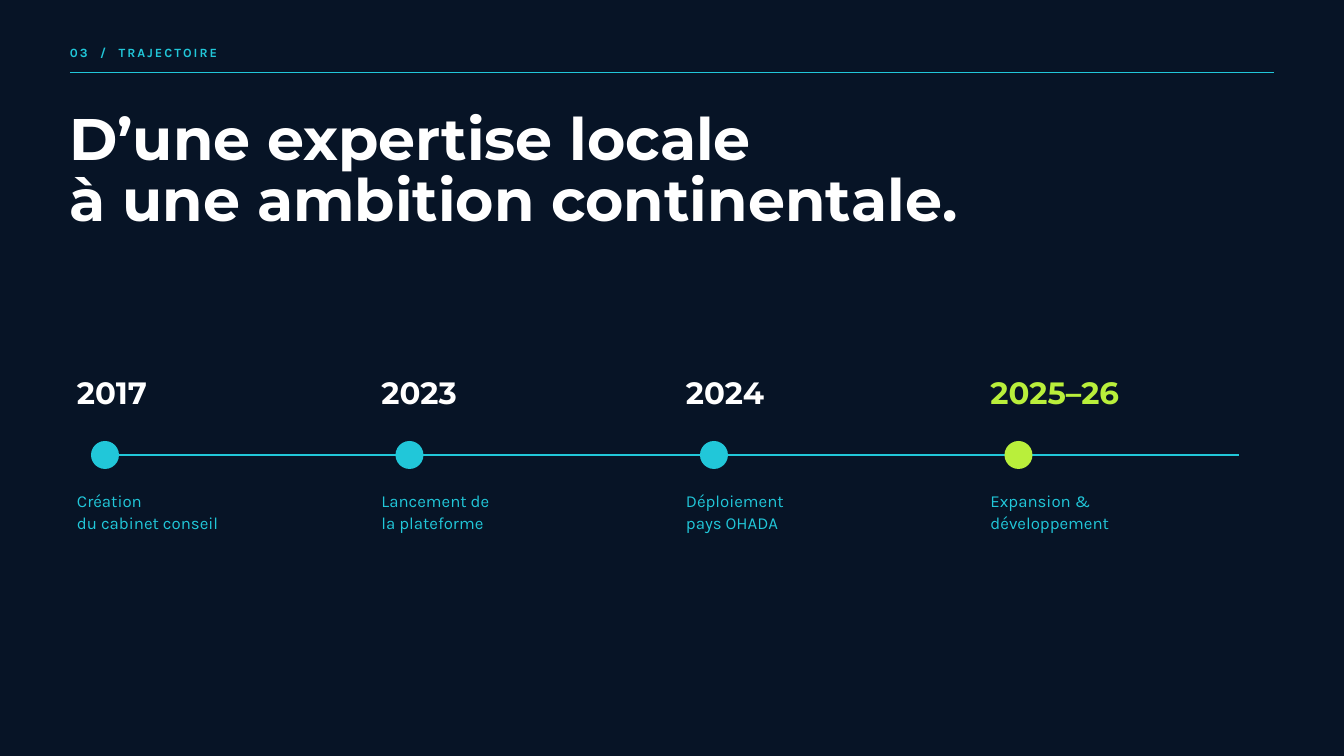
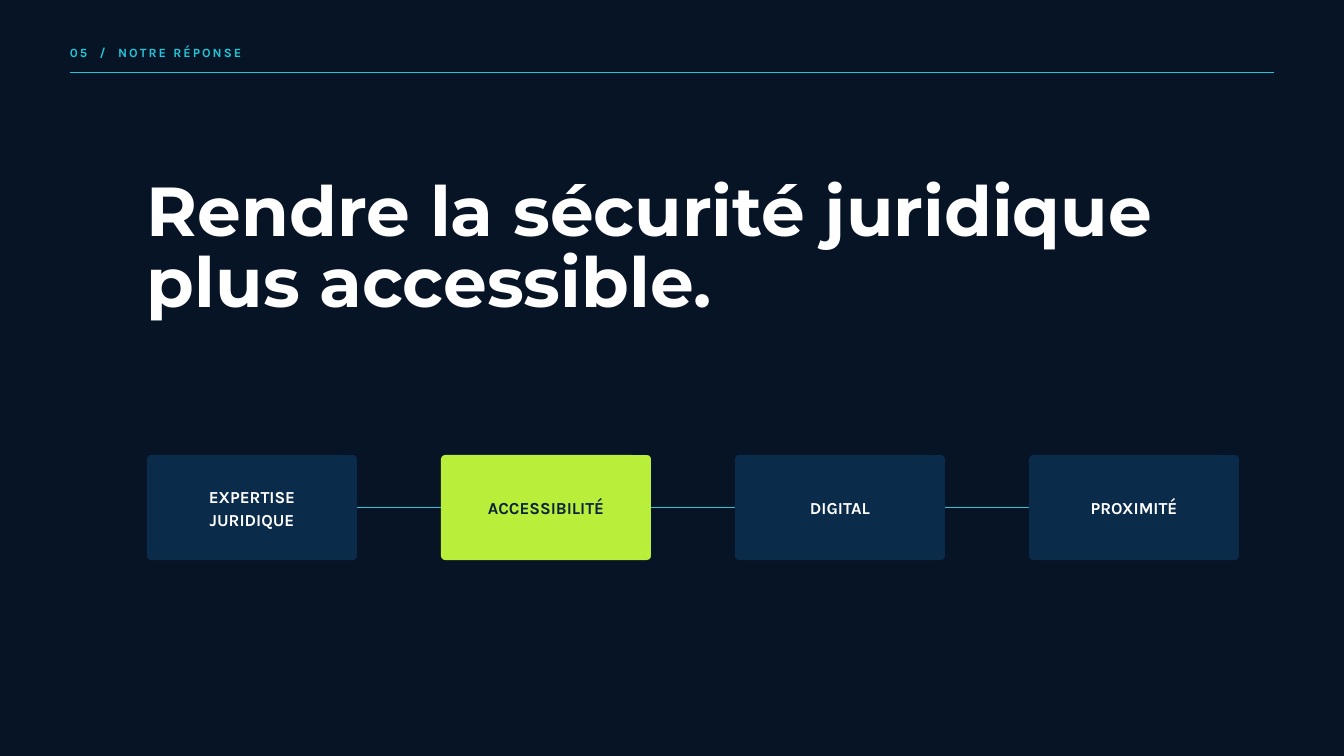
from dataclasses import dataclass

from lxml.etree import SubElement
from pptx import Presentation
from pptx.dml.color import RGBColor
from pptx.enum.shapes import MSO_CONNECTOR, MSO_SHAPE
from pptx.enum.text import MSO_ANCHOR as Anchor, MSO_AUTO_SIZE as AutoSize, PP_ALIGN as Align
from pptx.oxml.ns import qn
from pptx.shapes.autoshape import Shape
from pptx.slide import Slide
from pptx.text.text import TextFrame
from pptx.util import Emu, Pt

EMU_PER_PX = 9525


@dataclass(frozen=True)
class TextStyle:
    font: str
    size: float
    leading: float
    bold: bool = True
    tracking: float = 0


@dataclass(frozen=True)
class Theme:
    night: str = "071426"
    navy: str = "0B2B4B"
    ink: str = "09233B"
    cyan: str = "21C7D9"
    lime: str = "B9EF3B"
    white: str = "FFFFFF"
    section: TextStyle = TextStyle("Karla", 13.5, 18.9, tracking=2.2)
    title: TextStyle = TextStyle("Montserrat", 62.8, 64.7)
    statement: TextStyle = TextStyle("Montserrat", 74.2, 76.4)
    year: TextStyle = TextStyle("Montserrat", 33, 34)
    caption: TextStyle = TextStyle("Karla", 18, 24.3, bold=False)
    pillar: TextStyle = TextStyle("Karla", 18, 25.2)


THEME = Theme()


@dataclass(frozen=True)
class Box:
    left: int
    top: int
    width: int
    height: int

    def emu(self) -> tuple[Emu, ...]:
        return tuple(px(length) for length in (self.left, self.top, self.width, self.height))


@dataclass(frozen=True)
class Milestone:
    year: str
    caption: str
    current: bool = False


@dataclass(frozen=True)
class Pillar:
    label: str
    highlighted: bool = False


MILESTONES = (
    Milestone("2017", "Création\ndu cabinet conseil"),
    Milestone("2023", "Lancement de\nla plateforme"),
    Milestone("2024", "Déploiement\npays OHADA"),
    Milestone("2025–26", "Expansion &\ndéveloppement", current=True),
)
PILLARS = (
    Pillar("EXPERTISE\nJURIDIQUE"),
    Pillar("ACCESSIBILITÉ", highlighted=True),
    Pillar("DIGITAL"),
    Pillar("PROXIMITÉ"),
)


def px(length: int) -> Emu:
    return Emu(length * EMU_PER_PX)


def write_text(frame: TextFrame, text: str, *, style: TextStyle, color: str,
               align: Align = Align.LEFT, anchor: Anchor = Anchor.TOP,
               insets: tuple[int, int, int, int] = (0, 0, 0, 0)) -> None:
    """Fill a frame, one paragraph per line; insets run left, top, right, bottom."""
    frame.word_wrap = True
    frame.vertical_anchor = anchor
    (frame.margin_left, frame.margin_top,
     frame.margin_right, frame.margin_bottom) = map(px, insets)
    for index, line in enumerate(text.split("\n")):
        paragraph = frame.add_paragraph() if index else frame.paragraphs[0]
        paragraph.alignment = align
        paragraph.line_spacing = Pt(style.leading)
        run = paragraph.add_run()
        run.text = line
        run.font.name = style.font
        run.font.size = Pt(style.size)
        run.font.bold = style.bold
        run.font.color.rgb = RGBColor.from_string(color)
        if style.tracking:
            run.font._element.set("spc", str(round(style.tracking * 100)))


def add_text(slide: Slide, box: Box, text: str, *, style: TextStyle, color: str) -> None:
    frame = slide.shapes.add_textbox(*box.emu()).text_frame
    write_text(frame, text, style=style, color=color)
    frame.auto_size = AutoSize.SHAPE_TO_FIT_TEXT


def add_rule(slide: Slide, left: int, right: int, y: int, weight: float) -> None:
    """Draw a horizontal cyan line."""
    rule = slide.shapes.add_connector(MSO_CONNECTOR.STRAIGHT, px(left), px(y), px(right), px(y))
    rule.line.color.rgb = RGBColor.from_string(THEME.cyan)
    rule.line.width = Pt(weight)
    SubElement(rule._element.spPr, qn("a:effectLst"))


def add_filled_shape(slide: Slide, kind: MSO_SHAPE, box: Box, color: str) -> Shape:
    shape = slide.shapes.add_shape(kind, *box.emu())
    shape.shadow.inherit = False
    shape.fill.solid()
    shape.fill.fore_color.rgb = RGBColor.from_string(color)
    shape.line.fill.background()
    return shape


def add_section_slide(presentation: Presentation, number: str, section: str) -> Slide:
    """Add a dark slide with the numbered section header and its rule."""
    slide = presentation.slides.add_slide(presentation.slide_layouts[6])
    slide.background.fill.solid()
    slide.background.fill.fore_color.rgb = RGBColor.from_string(THEME.night)
    add_text(slide, Box(100, 60, 620, 23), f"{number}  /  {section}",
             style=THEME.section, color=THEME.cyan)
    add_rule(slide, 100, 1820, 104, 1)
    return slide


def build_trajectory(presentation: Presentation) -> None:
    slide = add_section_slide(presentation, "03", "TRAJECTOIRE")
    add_text(slide, Box(100, 160, 1570, 177),
             "D’une expertise locale\nà une ambition continentale.",
             style=THEME.title, color=THEME.white)

    first_center, pitch, axis, diameter = 150, 435, 650, 40
    add_rule(slide, first_center, 1770, axis, 3)
    for index, milestone in enumerate(MILESTONES):
        center = first_center + index * pitch
        text_left = center - 40
        dot = Box(center - diameter // 2, axis - diameter // 2, diameter, diameter)
        add_filled_shape(slide, MSO_SHAPE.OVAL, dot,
                         THEME.lime if milestone.current else THEME.cyan)
        add_text(slide, Box(text_left, 541, 350, 46), milestone.year, style=THEME.year,
                 color=THEME.lime if milestone.current else THEME.white)
        add_text(slide, Box(text_left, 697, 350, 63), milestone.caption,
                 style=THEME.caption, color=THEME.cyan)


def build_response(presentation: Presentation) -> None:
    slide = add_section_slide(presentation, "05", "NOTRE RÉPONSE")
    add_text(slide, Box(210, 256, 1586, 207),
             "Rendre la sécurité juridique\nplus accessible.",
             style=THEME.statement, color=THEME.white)

    first_left, top, width, height, gap, radius = 210, 650, 300, 150, 120, 6
    for index, pillar in enumerate(PILLARS):
        left = first_left + index * (width + gap)
        if index:
            add_rule(slide, left - gap, left, top + height // 2, 1.5)
        card = add_filled_shape(slide, MSO_SHAPE.ROUNDED_RECTANGLE,
                                Box(left, top, width, height),
                                THEME.lime if pillar.highlighted else THEME.navy)
        card.adjustments[0] = radius / height
        write_text(card.text_frame, pillar.label, style=THEME.pillar,
                   color=THEME.ink if pillar.highlighted else THEME.white,
                   align=Align.CENTER, anchor=Anchor.MIDDLE, insets=(6, 6, 6, 9))


def main() -> None:
    presentation = Presentation()
    presentation.slide_width = px(1920)
    presentation.slide_height = px(1080)
    build_trajectory(presentation)
    build_response(presentation)
    presentation.save("out.pptx")


if __name__ == "__main__":
    main()
